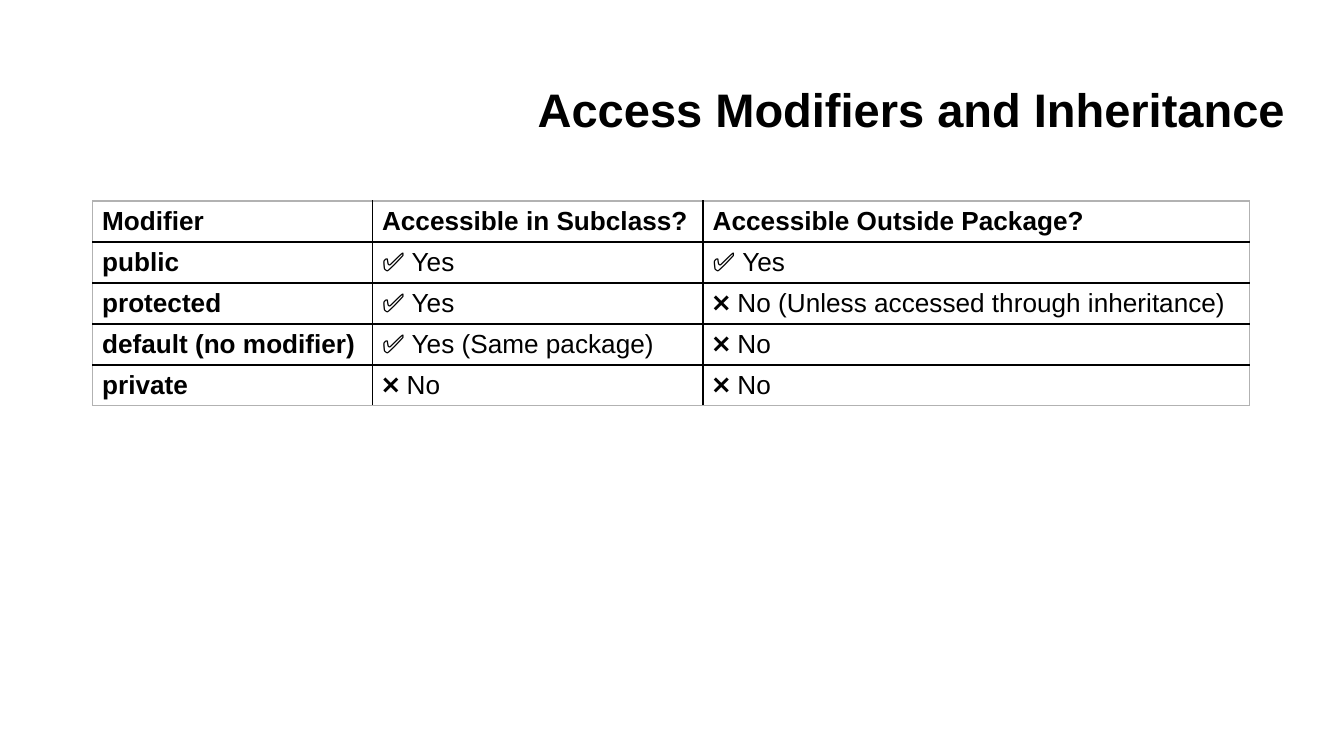
from typing import NamedTuple

from lxml import etree
from pptx import Presentation
from pptx.dml.color import RGBColor
from pptx.enum.text import MSO_ANCHOR, PP_ALIGN
from pptx.oxml.ns import qn
from pptx.util import Cm, Pt

MIDDLE = MSO_ANCHOR.MIDDLE
RIGHT = PP_ALIGN.RIGHT
FONT = "Arial"
COLORS = {"text": "000000", "inner": "000000", "outer": "B2B2B2"}

COL_WIDTHS = (5.29, 6.25, 10.32)
ROW_HEIGHT = 0.77
YES, NO = "✅ Yes", "❌ No"


class Row(NamedTuple):
    modifier: str
    subclass: str
    outside: str


ROWS = [
    Row("Modifier", "Accessible in Subclass?", "Accessible Outside Package?"),
    Row("public", YES, YES),
    Row("protected", YES, f"{NO} (Unless accessed through inheritance)"),
    Row("default (no modifier)", f"{YES} (Same package)", NO),
    Row("private", NO, NO),
]


def add_run(p, text: str, size: float, bold: bool) -> None:
    r = p.add_run()
    r.text = text
    r.font.name = FONT
    r.font.size = Pt(size)
    r.font.bold = bold
    r.font.color.rgb = RGBColor.from_string(COLORS["text"])


def set_borders(cell, outer_sides: dict[str, bool]) -> None:
    """Draw each side of a cell, lighter along the table's outline."""
    tc_pr = cell._tc.get_or_add_tcPr()
    for i, (side, is_outer) in enumerate(outer_sides.items()):
        ln = etree.Element(qn(f"a:ln{side}"), w=str(Pt(0.75 if is_outer else 1)))
        fill = etree.SubElement(ln, qn("a:solidFill"))
        color = COLORS["outer" if is_outer else "inner"]
        etree.SubElement(fill, qn("a:srgbClr"), val=color)
        tc_pr.insert(i, ln)


def add_title(s, text: str) -> None:
    sp = s.shapes.add_textbox(Cm(0.87), Cm(1.25), Cm(23.67), Cm(1.6))
    tf = sp.text_frame
    tf.word_wrap = True
    tf.vertical_anchor = MIDDLE
    tf.margin_left = tf.margin_right = Cm(0.25)
    tf.margin_top = tf.margin_bottom = Cm(0.25)
    p = tf.paragraphs[0]
    p.alignment = RIGHT
    add_run(p, text, 25.2, True)


def add_modifier_table(s, rows: list[Row]) -> None:
    n_rows, n_cols = len(rows), len(COL_WIDTHS)
    table = s.shapes.add_table(
        n_rows, n_cols, Cm(1.75), Cm(3.8),
        Cm(sum(COL_WIDTHS)), Cm(n_rows * ROW_HEIGHT),
    ).table
    table.first_row = table.horz_banding = False
    for col, width in zip(table.columns, COL_WIDTHS):
        col.width = Cm(width)

    for i, row in enumerate(rows):
        table.rows[i].height = Cm(ROW_HEIGHT)
        for j, text in enumerate(row):
            cell = table.cell(i, j)
            cell.fill.background()
            cell.vertical_anchor = MIDDLE
            cell.margin_left = cell.margin_right = Cm(0.18)
            cell.margin_top = cell.margin_bottom = Cm(0.09)
            # Header row and modifier column are bold
            add_run(cell.text_frame.paragraphs[0], text, 14, i == 0 or j == 0)
            set_borders(cell, {
                "L": j == 0, "R": j == n_cols - 1,
                "T": i == 0, "B": i == n_rows - 1,
            })


def main() -> None:
    prs = Presentation()
    prs.slide_width, prs.slide_height = Cm(25.4), Cm(14.29)
    s = prs.slides.add_slide(prs.slide_layouts[6])
    add_title(s, "Access Modifiers and Inheritance")
    add_modifier_table(s, ROWS)
    prs.save("out.pptx")


if __name__ == "__main__":
    main()
